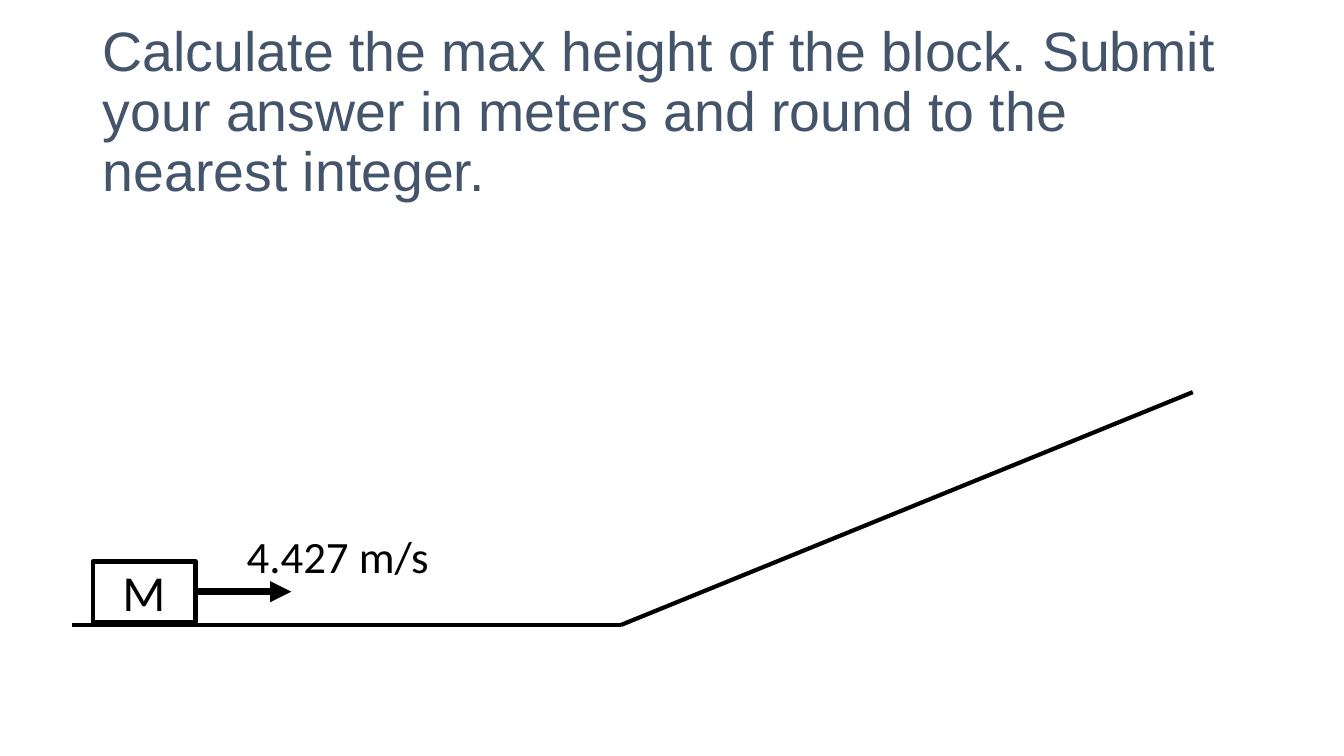
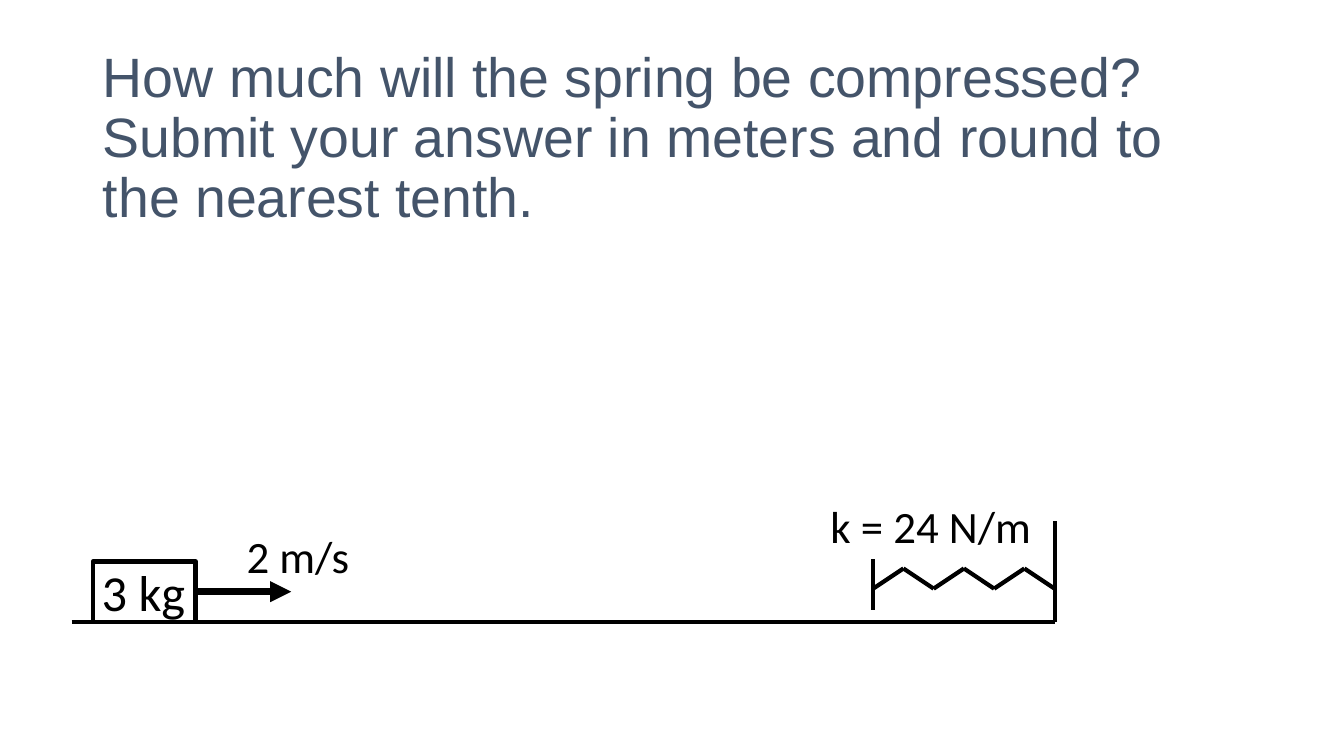
from dataclasses import dataclass

from lxml import etree
from pptx import Presentation
from pptx import util as u
from pptx.dml.color import RGBColor
from pptx.enum import shapes, text
from pptx.oxml.ns import qn

# Slide size; every length below is a percentage of its width or height
WIDTH, HEIGHT = u.Inches(13.33), u.Inches(7.5)
TITLE_ONLY = 5


@dataclass(frozen=True)
class Theme:
    ink: RGBColor = RGBColor.from_string("000000")
    heading: RGBColor = RGBColor.from_string("44546A")
    heading_font: str = "Arial"
    label_font: str = "Calibri"
    heading_size: float = 39.6
    block_size: int = 36
    label_size: int = 32
    stroke: int = 3
    arrow_stroke: int = 5


@dataclass(frozen=True)
class Box:
    left: float
    top: float
    width: float
    height: float

    def x(self, share):
        return self.left + share * self.width

    def y(self, share):
        return self.top + share * self.height

    def emu(self):
        return (across(self.left), down(self.top),
                across(self.width), down(self.height))


THEME = Theme()
BLOCK = Box(6.9, 74.27, 7.65, 8)
GROUND_LEFT = 5.33


def across(percent):
    return round(WIDTH * percent / 100)


def down(percent):
    return round(HEIGHT * percent / 100)


def style_runs(para, font, size, color):
    for span in para.runs:
        span.font.name = font
        span.font.size = u.Pt(size)
        span.font.color.rgb = color


def add_title(page, wording, box):
    title = page.shapes.title
    title.left, title.top, title.width, title.height = box.emu()
    frame = title.text_frame
    frame.text = wording
    frame.word_wrap = True
    frame.auto_size = text.MSO_AUTO_SIZE.NONE
    frame.vertical_anchor = text.MSO_ANCHOR.MIDDLE
    para = frame.paragraphs[0]
    para.alignment = text.PP_ALIGN.LEFT
    para.line_spacing = 0.9
    style_runs(para, THEME.heading_font, THEME.heading_size, THEME.heading)


def add_label(page, wording, box, size=THEME.label_size):
    frame = page.shapes.add_textbox(*box.emu()).text_frame
    frame.text = wording
    frame.word_wrap = False
    frame.auto_size = text.MSO_AUTO_SIZE.SHAPE_TO_FIT_TEXT
    style_runs(frame.paragraphs[0], THEME.label_font, size, THEME.ink)


def add_line(page, start, end, stroke=THEME.stroke, arrow=False):
    line = page.shapes.add_connector(
        shapes.MSO_CONNECTOR.STRAIGHT,
        across(start[0]), down(start[1]), across(end[0]), down(end[1]))
    line.line.color.rgb = THEME.ink
    line.line.width = u.Pt(stroke)
    properties = line.element.spPr
    if arrow:
        outline = properties.find(qn("a:ln"))
        etree.SubElement(outline, qn("a:tailEnd")).set("type", "triangle")
    etree.SubElement(properties, qn("a:effectLst"))


def add_moving_block(page, box, mass, mass_width, speed, speed_width):
    # Block with its mass centred on it
    block = page.shapes.add_shape(shapes.MSO_SHAPE.RECTANGLE, *box.emu())
    block.shadow.inherit = False
    block.fill.background()
    block.line.color.rgb = THEME.ink
    block.line.width = u.Pt(THEME.stroke)
    mass_box = Box(box.x(0.5) - mass_width / 2, box.y(-0.08), mass_width, 9.47)
    add_label(page, mass, mass_box, THEME.block_size)

    # Velocity arrow and its value
    add_line(page, (box.x(1), box.y(0.5)), (box.x(1.93), box.y(0.5)),
             THEME.arrow_stroke, arrow=True)
    add_label(page, speed, Box(box.x(1.4), box.y(-0.62), speed_width, 8.53))


def add_ramp(page, box):
    # Level ground, then a slope to the top right corner
    foot = (box.x(0.49), box.y(1))
    add_line(page, (box.x(0), box.y(1)), foot)
    add_line(page, foot, (box.x(1), box.y(0)))


def add_wall(page, box):
    corner = (box.x(1), box.y(1))
    add_line(page, (box.x(0), box.y(1)), corner)
    add_line(page, (box.x(1), box.y(0)), corner)


def add_spring(page, box, stiffness, segments=6):
    # Zigzag between low and high points, with an end plate on the left
    levels = (box.y(0.58), box.y(0.18))
    points = [(box.x(i / segments), levels[i % 2]) for i in range(segments + 1)]
    for start, end in zip(points, points[1:]):
        add_line(page, start, end)
    add_line(page, (box.x(0), box.y(0)), (box.x(0), box.y(1)))
    add_label(page, stiffness, Box(box.x(-0.29), box.y(-1.3), 16.58, 8.53))


def build_ramp_slide(deck):
    page = deck.slides.add_slide(deck.slide_layouts[TITLE_ONLY])
    add_title(page, "Calculate the max height of the block. Submit your answer "
              "in meters and round to the nearest integer.",
              Box(6.9, 5.33, 86.27, 19.33))
    add_ramp(page, Box(GROUND_LEFT, 51.87, 83.42, 30.8))
    add_moving_block(page, BLOCK, "M", 4.73, "4.427 m/s", 15.23)


def build_spring_slide(deck):
    page = deck.slides.add_slide(deck.slide_layouts[TITLE_ONLY])
    add_title(page, "How much will the spring be compressed? Submit your answer "
              "in meters and round to the nearest tenth.",
              Box(6.9, 5.33, 86.27, 26.27))
    add_wall(page, Box(GROUND_LEFT, 68.93, 73.14, 13.33))
    add_moving_block(page, BLOCK, "3 kg", 7.8, "2 m/s", 9.23)
    add_spring(page, Box(64.97, 74, 13.5, 6.67), "k = 24 N/m")


deck = Presentation()
deck.slide_width, deck.slide_height = WIDTH, HEIGHT
build_ramp_slide(deck)
build_spring_slide(deck)
deck.save("out.pptx")
